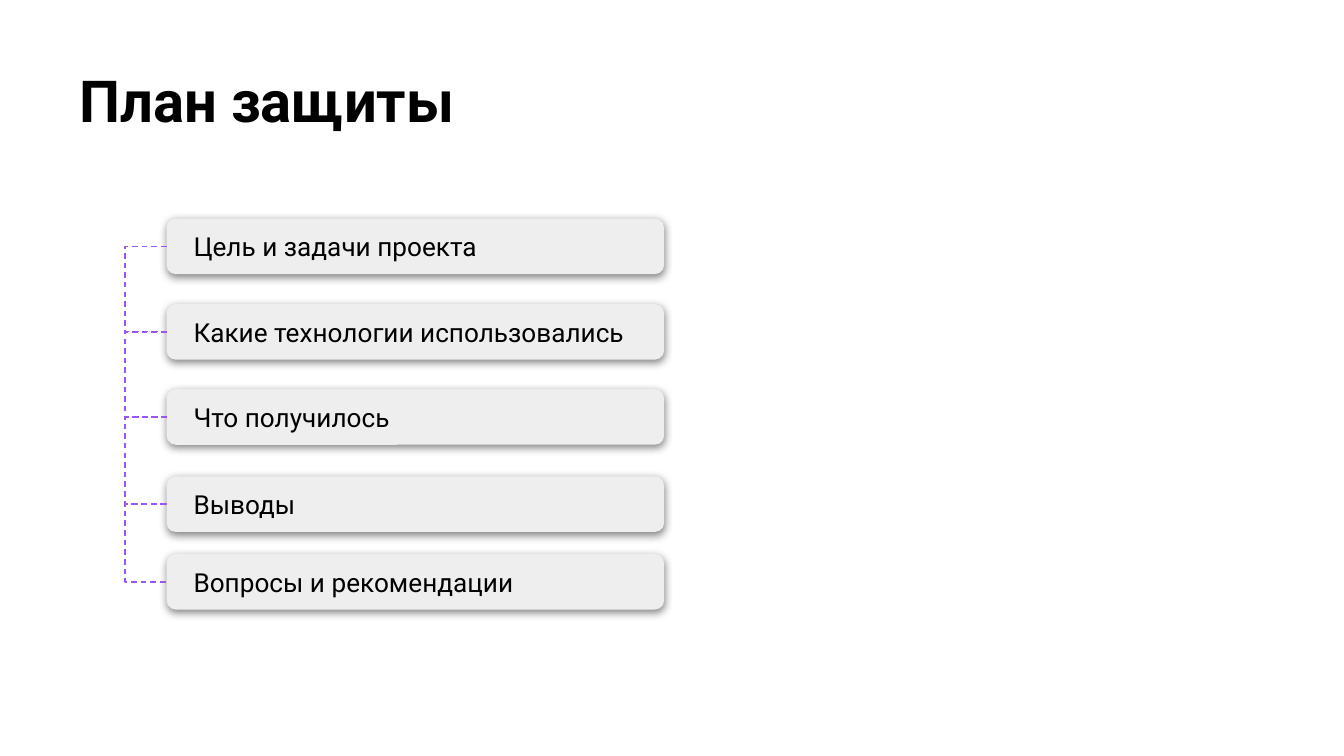
from itertools import pairwise

from lxml.etree import SubElement
from pptx import Presentation
from pptx.dml.color import RGBColor
from pptx.enum.dml import MSO_LINE
from pptx.enum.shapes import MSO_SHAPE
from pptx.enum.text import MSO_ANCHOR, PP_ALIGN
from pptx.oxml.ns import qn
from pptx.util import Pt

COLORS = {"text": "000000", "card": "EEEEEE", "link": "9857F3", "shadow": "000000"}
FONT = "Roboto"

# Each topic with the distance of its card from the top of the plan
TOPICS = [
    ("Цель и задачи проекта", 0),
    ("Какие технологии использовались", 45.8),
    ("Что получилось", 91.4),
    ("Выводы", 138.1),
    ("Вопросы и рекомендации", 179.7),
]
CARD_HEIGHT = 29.8
LINK_REACH = 22.2


def write_text(shape, text, size, bold=False, anchor=MSO_ANCHOR.TOP, side=0, top=0):
    frame = shape.text_frame
    frame.word_wrap = True
    frame.vertical_anchor = anchor
    frame.margin_left = frame.margin_right = Pt(side)
    frame.margin_top = frame.margin_bottom = Pt(top)
    paragraph = frame.paragraphs[0]
    paragraph.alignment = PP_ALIGN.LEFT
    run = paragraph.add_run()
    run.text = text
    run.font.name = FONT
    run.font.size = Pt(size)
    run.font.bold = bold
    run.font.color.rgb = RGBColor.from_string(COLORS["text"])


def add_soft_shadow(shape):
    shape.shadow.inherit = False
    effects = shape._element.spPr.find(qn("a:effectLst"))
    shadow = SubElement(effects, qn("a:outerShdw"), blurRad=str(Pt(4.5)),
                        dist=str(Pt(1.5)), dir="5400000", algn="bl", rotWithShape="0")
    color = SubElement(shadow, qn("a:srgbClr"), val=COLORS["shadow"])
    SubElement(color, qn("a:alpha"), val="50000")


def add_title(slide, left, top, width, height):
    box = slide.shapes.add_textbox(Pt(left), Pt(top), Pt(width), Pt(height))
    write_text(box, "План защиты", size=31, bold=True, top=7.2)


def add_card(slide, text, left, top, width, height):
    card = slide.shapes.add_shape(MSO_SHAPE.ROUNDED_RECTANGLE,
                                  Pt(left), Pt(top), Pt(width), Pt(height))
    card.fill.solid()
    card.fill.fore_color.rgb = RGBColor.from_string(COLORS["card"])
    card.line.fill.background()
    add_soft_shadow(card)
    write_text(card, text, size=14, anchor=MSO_ANCHOR.MIDDLE, side=13)
    return card


def link_cards(slide, upper, lower):
    """Join the left sides of two cards with a dashed bracket."""
    start, end = (card.top + card.height // 2 for card in (upper, lower))
    spine = upper.left - Pt(LINK_REACH)
    builder = slide.shapes.build_freeform(upper.left, start)
    builder.add_line_segments([(spine, start), (spine, end), (lower.left, end)], close=False)
    link = builder.convert_to_shape()
    link.shadow.inherit = False
    link.fill.background()
    link.line.color.rgb = RGBColor.from_string(COLORS["link"])
    link.line.width = Pt(0.75)
    link.line.dash_style = MSO_LINE.DASH


def add_plan(slide, left, top, width):
    cards = [add_card(slide, text, left, top + offset, width, CARD_HEIGHT)
             for text, offset in TOPICS]
    for upper, lower in pairwise(cards):
        link_cards(slide, upper, lower)


def main():
    presentation = Presentation()
    presentation.slide_width = Pt(720)
    presentation.slide_height = Pt(405)
    slide = presentation.slides.add_slide(presentation.slide_layouts[6])
    add_title(slide, left=42.5, top=27.4, width=671, height=82)
    add_plan(slide, left=89.2, top=117.1, width=266.6)
    presentation.save("out.pptx")


if __name__ == "__main__":
    main()
